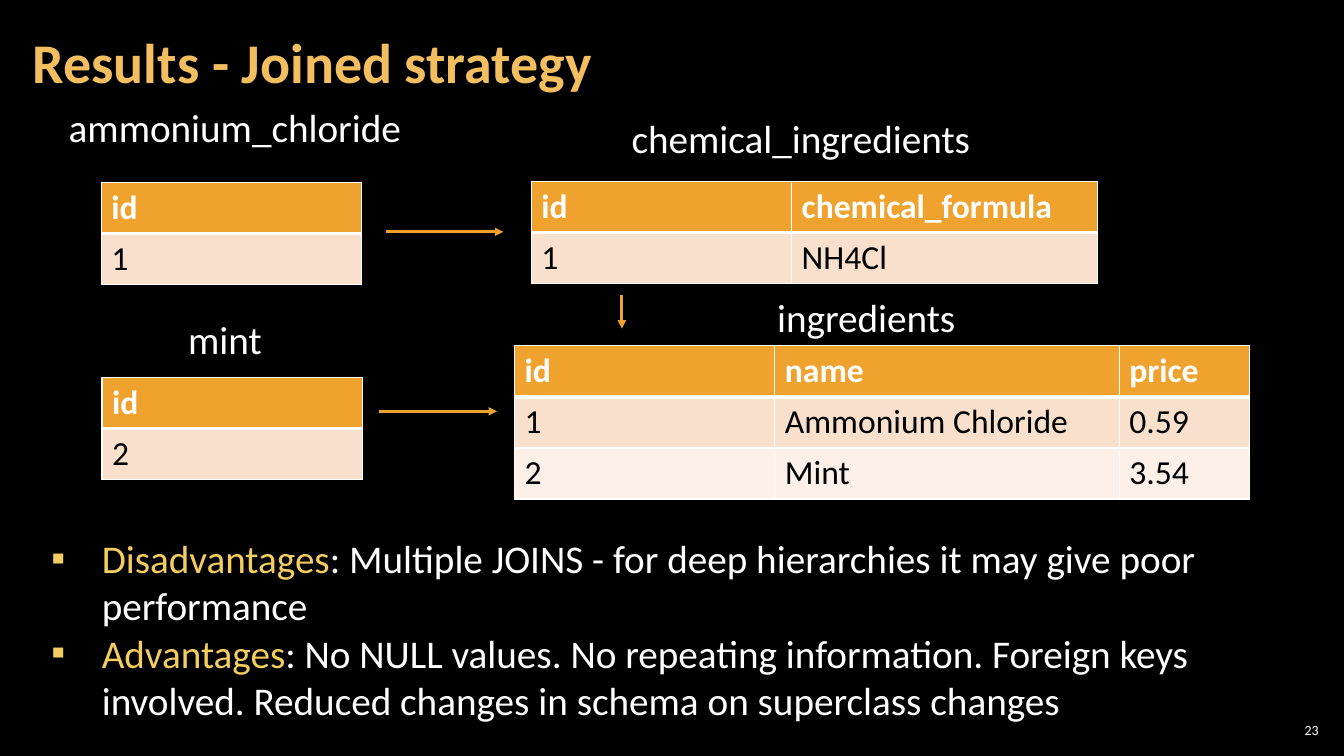
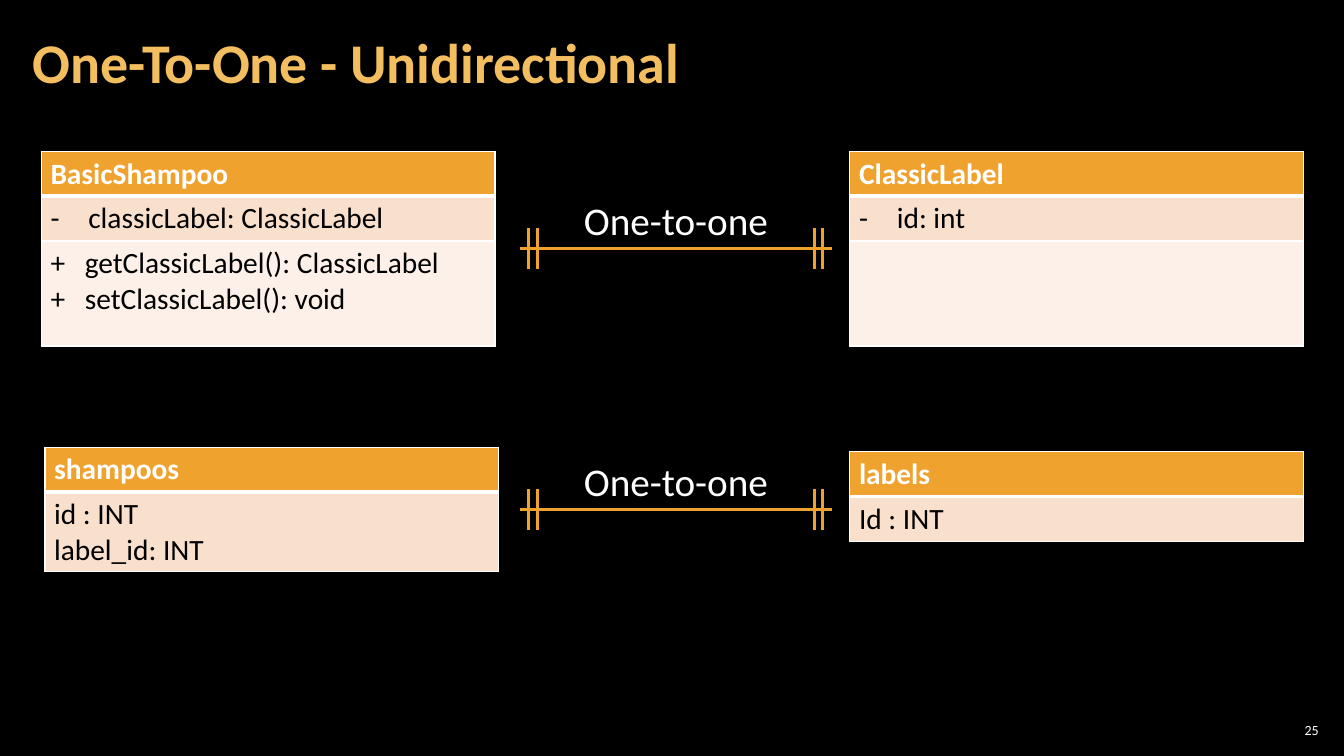
import dataclasses

import pptx
import pptx.dml.color
import pptx.enum.shapes
import pptx.enum.text
import pptx.oxml.ns
import pptx.util
from lxml import etree

Pt = pptx.util.Pt
qn = pptx.oxml.ns.qn
Align = pptx.enum.text.PP_ALIGN
Anchor = pptx.enum.text.MSO_ANCHOR


@dataclasses.dataclass(frozen=True)
class Theme:
    font: str = "Calibri"
    background: str = "000000"
    text: str = "FFFFFF"
    title: str = "F3BE60"
    highlight: str = "F3CD60"
    accent: str = "F0A22E"
    cell_text: str = "000000"
    bands: tuple = ("F9E0CD", "FCF0E8")
    title_size: int = 40
    body_size: int = 28
    table_size: int = 24
    class_size: int = 21
    number_size: int = 10
    line_width: int = 2
    border: int = 1
    header_border: int = 3


THEME = Theme()
WIDTH, HEIGHT = 960, 540

# Results slide: tables are (left, top, column widths, rows)
ROW_HEIGHT = 36.5
RESULT_TABLES = [
    (379.5, 129.6, [186, 218.5], [["id", "chemical_formula"], ["1", "NH4Cl"]]),
    (367.5, 247, [186, 246, 93],
     [["id", "name", "price"], ["1", "Ammonium Chloride", "0.59"], ["2", "Mint", "3.54"]]),
    (72.3, 130.3, [186], [["id"], ["1"]]),
    (72.9, 269.5, [186], [["id"], ["2"]]),
]
RESULT_LABELS = [
    ("ingredients", 548, 206, 144),
    ("chemical_ingredients", 444, 77.8, 276),
    ("ammonium_chloride", 42, 70.4, 276),
    ("mint", 127.3, 221.8, 72),
]
RESULT_ARROWS = [
    ((271, 293.8), (355, 293.8)),
    ((275.5, 165.6), (359.5, 165.6)),
    ((444.2, 211), (444.2, 234.7)),
]
RESULT_POINTS = [
    ("Disadvantages", ": Multiple JOINS - for deep hierarchies it may give poor performance"),
    ("Advantages", ": No NULL values. No repeating information. Foreign keys involved. "
                   "Reduced changes in schema on superclass changes"),
]

# Relation slide: tables are (left, top, row heights, one text per row)
CLASS_WIDTH = 324
CLASS_TABLES = [
    (29.5, 108.2, [32, 32, 75],
     ["BasicShampoo", "- classicLabel: ClassicLabel",
      "+ getClassicLabel(): ClassicLabel\n+ setClassicLabel(): void"]),
    (607, 108.2, [32, 32, 75], ["ClassicLabel", "- id: int", ""]),
    (32.1, 319.5, [32, 56.8], ["shampoos", "id : INT\nlabel_id: INT"]),
    (607, 322.6, [32, 32], ["labels", "Id : INT"]),
]
MARKER_INDENTS = {"-": 27, "+": 24.5}
RELATION_LABEL = "One-to-one"
RELATION_HEIGHTS = [177.5, 364]
RELATION_LEFT, RELATION_RIGHT = 371.5, 594
TICK_OFFSETS, TICK_REACH = (6.2, 12.2), 14.4
LABEL_HEIGHT = 41


def rgb(color):
    return pptx.dml.color.RGBColor.from_string(color)


def style(paragraph, size, color=None, bold=False):
    font = paragraph.font
    font.name, font.size, font.bold = THEME.font, Pt(size), bold
    if color:
        font.color.rgb = rgb(color)


def add_bullet(paragraph, marker, indent, color):
    properties = paragraph._p.get_or_add_pPr()
    properties.set("marL", str(Pt(indent)))
    properties.set("indent", str(-Pt(indent)))
    holder = etree.SubElement(properties, qn("a:buClr"))
    etree.SubElement(holder, qn("a:srgbClr"), val=color)
    etree.SubElement(properties, qn("a:buFont"), typeface=THEME.font)
    etree.SubElement(properties, qn("a:buChar"), char=marker)


def place(shape, left, top, width, height):
    shape.left, shape.top = Pt(left), Pt(top)
    shape.width, shape.height = Pt(width), Pt(height)


def set_insets(frame, horizontal, vertical):
    frame.margin_left = frame.margin_right = Pt(horizontal)
    frame.margin_top = frame.margin_bottom = Pt(vertical)


def add_text(page, text, left, top, width, height, size, align=Align.LEFT):
    box = page.shapes.add_textbox(Pt(left), Pt(top), Pt(width), Pt(height))
    box.text_frame.word_wrap = True
    para = box.text_frame.paragraphs[0]
    para.text, para.alignment = text, align
    style(para, size, THEME.text)
    return box


def add_line(page, start, end, arrow=False):
    line = page.shapes.add_connector(
        pptx.enum.shapes.MSO_CONNECTOR.STRAIGHT, *[Pt(value) for value in (*start, *end)])
    line.line.color.rgb = rgb(THEME.accent)
    line.line.width = Pt(THEME.line_width)
    properties = line.element.spPr
    if arrow:
        etree.SubElement(properties.find(qn("a:ln")), qn("a:tailEnd"), type="triangle")
    etree.SubElement(properties, qn("a:effectLst"))


def set_borders(cell, row):
    """White borders, with a heavier rule between header and body."""
    properties = cell._tc.get_or_add_tcPr()
    heavy_side = {0: "B", 1: "T"}.get(row)
    for position, side in enumerate("LRTB"):
        width = THEME.header_border if side == heavy_side else THEME.border
        line = etree.Element(qn(f"a:ln{side}"), w=str(Pt(width)))
        fill = etree.SubElement(line, qn("a:solidFill"))
        etree.SubElement(fill, qn("a:srgbClr"), val=THEME.text)
        properties.insert(position, line)


def fill_cell(cell, text, row, size):
    header = row == 0
    color = THEME.text if header else THEME.cell_text
    cell.fill.solid()
    cell.fill.fore_color.rgb = rgb(THEME.accent if header else THEME.bands[(row - 1) % 2])
    set_borders(cell, row)
    frame = cell.text_frame
    for index, line in enumerate(text.split("\n")):
        para = frame.add_paragraph() if index else frame.paragraphs[0]
        marker, _, rest = line.partition(" ")
        if marker in MARKER_INDENTS:
            add_bullet(para, marker, MARKER_INDENTS[marker], color)
            line = rest
        if line:
            para.text = line
        style(para, size, color, header)


def add_table(page, left, top, widths, heights, rows, size, insets):
    table = page.shapes.add_table(
        len(rows), len(widths), Pt(left), Pt(top), Pt(sum(widths)), Pt(sum(heights))).table
    for column, width in zip(table.columns, widths):
        column.width = Pt(width)
    for row, (texts, height) in enumerate(zip(rows, heights)):
        table.rows[row].height = Pt(height)
        for column, text in enumerate(texts):
            cell = table.cell(row, column)
            set_insets(cell, *insets)
            fill_cell(cell, text, row, size)


def add_page(deck, layout, title, number):
    page = deck.slides.add_slide(deck.slide_layouts.get_by_name(layout))
    heading = page.shapes.title
    place(heading, 15, 3, 754, 87)
    frame = heading.text_frame
    frame.text = title
    frame.vertical_anchor = Anchor.MIDDLE
    frame.auto_size = pptx.enum.text.MSO_AUTO_SIZE.NONE
    set_insets(frame, 8.5, 3)
    para = frame.paragraphs[0]
    para.alignment, para.line_spacing = Align.LEFT, 0.9
    style(para, THEME.title_size, THEME.title, True)

    box = add_text(page, number, 911, 514, 34, 15, THEME.number_size, Align.RIGHT)
    set_insets(box.text_frame, 3, 3)
    box.text_frame.vertical_anchor = Anchor.MIDDLE
    return page


def add_points(page, points):
    body = page.placeholders[1]
    place(body, 29.5, 378.3, 929, 143)
    frame = body.text_frame
    frame.auto_size = pptx.enum.text.MSO_AUTO_SIZE.NONE
    for index, parts in enumerate(points):
        para = frame.add_paragraph() if index else frame.paragraphs[0]
        para.space_before = Pt(0)
        add_bullet(para, "▪", 36, THEME.highlight)
        style(para, THEME.body_size)
        for text, color in zip(parts, (THEME.highlight, THEME.text)):
            span = para.add_run()
            span.text = text
            span.font.color.rgb = rgb(color)


def add_relation(page, height):
    """Draw a one-to-one line with a double tick at each end and its label above."""
    add_line(page, (RELATION_LEFT, height), (RELATION_RIGHT, height))
    for offset in TICK_OFFSETS:
        for tick in (RELATION_LEFT + offset, RELATION_RIGHT - offset):
            add_line(page, (tick, height - TICK_REACH), (tick, height + TICK_REACH))
    add_text(page, RELATION_LABEL, RELATION_LEFT, height - LABEL_HEIGHT,
             RELATION_RIGHT - RELATION_LEFT, LABEL_HEIGHT, THEME.body_size, Align.CENTER)


def build_results(deck):
    page = add_page(deck, "Title and Content", "Results - Joined strategy", "23")
    for left, top, widths, rows in RESULT_TABLES:
        add_table(page, left, top, widths, [ROW_HEIGHT] * len(rows), rows,
                  THEME.table_size, (7.2, 3.6))
    for text, left, top, width in RESULT_LABELS:
        add_text(page, text, left, top, width, LABEL_HEIGHT, THEME.body_size)
    for start, end in RESULT_ARROWS:
        add_line(page, start, end, arrow=True)
    add_points(page, RESULT_POINTS)


def build_relations(deck):
    page = add_page(deck, "Title Only", "One-To-One - Unidirectional", "25")
    for left, top, heights, texts in CLASS_TABLES:
        add_table(page, left, top, [CLASS_WIDTH], heights, [[text] for text in texts],
                  THEME.class_size, (6.6, 3.3))
    for height in RELATION_HEIGHTS:
        add_relation(page, height)


def main():
    deck = pptx.Presentation()
    deck.slide_width, deck.slide_height = Pt(WIDTH), Pt(HEIGHT)
    background = deck.slide_master.background.fill
    background.solid()
    background.fore_color.rgb = rgb(THEME.background)
    build_results(deck)
    build_relations(deck)
    deck.save("out.pptx")


if __name__ == "__main__":
    main()
